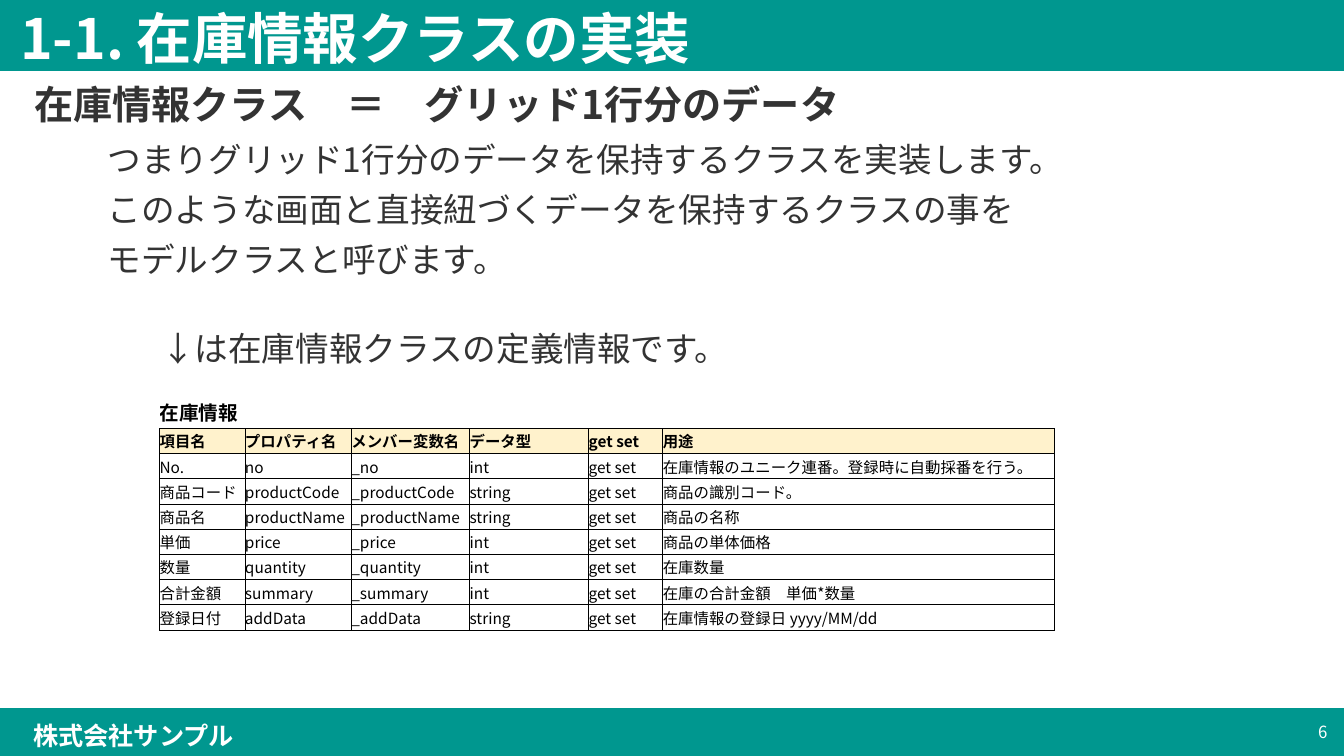
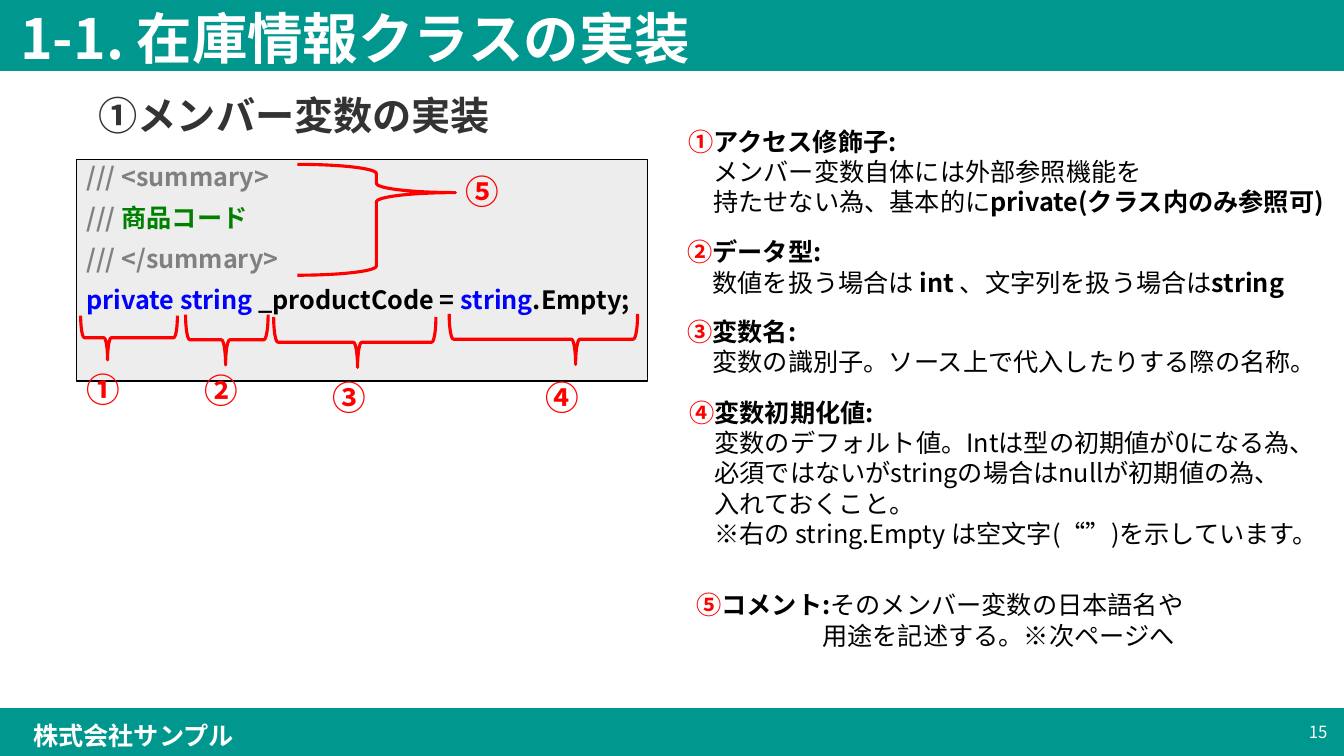
from copy import deepcopy

from lxml.etree import SubElement
from pptx import Presentation
from pptx.dml.color import RGBColor
from pptx.enum.shapes import MSO_SHAPE
from pptx.enum.text import MSO_ANCHOR, MSO_AUTO_SIZE, PP_ALIGN
from pptx.oxml.ns import qn
from pptx.util import Pt

FONT = "Noto Sans CJK JP"
WIDTH, HEIGHT = 960, 540
TEAL, WHITE, BLACK, INK = "00978F", "FFFFFF", "000000", "333333"
RED, BLUE, GREEN, GRAY = "FF0000", "0000FF", "008000", "808080"
PANEL, CREAM = "EDEDED", "FFF2CC"

TITLE = "1-1. 在庫情報クラスの実装"
COMPANY = "株式会社サンプル"

COLUMN_WIDTHS = [61, 76, 84.5, 85, 53, 280]
CAPTION_HEIGHT, ROW_HEIGHT = 23, 18
CAPTION = "在庫情報"
HEADERS = ["項目名", "プロパティ名", "メンバー変数名", "データ型", "get set", "用途"]
FIELDS = [
    ("No.", "no", "int", "在庫情報のユニーク連番。登録時に自動採番を行う。"),
    ("商品コード", "productCode", "string", "商品の識別コード。"),
    ("商品名", "productName", "string", "商品の名称"),
    ("単価", "price", "int", "商品の単体価格"),
    ("数量", "quantity", "int", "在庫数量"),
    ("合計金額", "summary", "int", "在庫の合計金額　単価*数量"),
    ("登録日付", "addData", "string", "在庫情報の登録日 yyyy/MM/dd"),
]

# A paragraph is a list of spans: (text, colour, bold), where None keeps the paragraph's font.
CODE_LINES = [
    [("/// <summary>", GRAY, None)],
    [("///", GRAY, None), (" 商品コード", GREEN, None)],
    [("/// </summary>", GRAY, None)],
    [("private string", BLUE, None), (" _productCode = ", None, None),
     ("string", BLUE, None), (".Empty;", None, None)],
]
# Braces: left, top, width, height, rotation, position of the point
BRACES = [
    (157.7, 3.6, 113, 79.2, 0, 0.255),
    (21.6, 92.9, 31.7, 69.1, 90, 0.722),
    (89.3, 99.4, 36, 59, 90, 0.515),
    (180.7, 72.7, 36, 115.9, 90, 0.483),
    (315.4, 61.2, 36, 134.6, 90, 0.329),
]
MARKS = [("①", -17.3, 148.3), ("②", 67, 149), ("③", 158.4, 154),
         ("④", 310.3, 154), ("⑤", 253.5, 6.5)]

# Notes: left, top, body indent, mark, heading, text beside the heading, body paragraphs
NOTES = [
    (0.6, 0, 18, "①", "アクセス修飾子:", "", [
        [("メンバー変数自体には外部参照機能を", None, None)],
        [("持たせない為、基本的に", None, None),
         ("private(クラス内のみ参照可)", None, True)]]),
    (0, 79.2, 18, "②", "データ型:", "", [
        [("数値を扱う場合は ", None, None), ("int ", None, True),
         ("、文字列を扱う場合は", None, None), ("string", None, True)]]),
    (0, 136.1, 18, "③", "変数名:", "", [
        [("変数の識別子。ソース上で代入したりする際の名称。", None, None)]]),
    (1.4, 193.7, 18, "④", "変数初期化値:", "", [
        [("変数のデフォルト値。Intは型の初期値が0になる為、", None, None)],
        [("必須ではないがstringの場合はnullが初期値の為、", None, None)],
        [("入れておくこと。", None, None)],
        [("※右の string.Empty は空文字(“”)を示しています。", None, None)]]),
    (6.5, 331.2, 90, "⑤", "コメント:", "そのメンバー変数の日本語名や", [
        [("用途を記述する。※次ページへ", None, None)]]),
]


def color(code):
    """Turn a hex string into a colour."""
    return RGBColor.from_string(code)


def place(box):
    """Turn a box in points into lengths."""
    return [Pt(length) for length in box]


def write(para, spans, size, ink=BLACK, bold=False, align=PP_ALIGN.LEFT, spacing=None,
          before=None, indent=0):
    """Format one paragraph and fill it with a string or a list of spans."""
    para.alignment = align
    para.line_spacing = spacing
    if before is not None:
        para.space_before = Pt(before)
    if indent:
        para._p.get_or_add_pPr().set("marL", str(Pt(indent)))
    font = para.font
    font.name, font.size, font.bold = FONT, Pt(size), bold
    font.color.rgb = color(ink)
    if isinstance(spans, str):
        spans = [(spans, None, None)]
    for text, span_ink, span_bold in spans:
        span = para.add_run()
        span.text = text
        if span_ink:
            span.font.color.rgb = color(span_ink)
        if span_bold is not None:
            span.font.bold = span_bold


def fill_frame(frame, paragraphs, size, anchor=MSO_ANCHOR.TOP, **style):
    """Write equally styled paragraphs into a text frame."""
    frame.word_wrap = True
    frame.auto_size = MSO_AUTO_SIZE.NONE
    frame.vertical_anchor = anchor
    for index, spans in enumerate(paragraphs):
        para = frame.add_paragraph() if index else frame.paragraphs[0]
        write(para, spans, size, **style)


def add_text(page, box, paragraphs, size, **style):
    """Add a text box."""
    label = page.shapes.add_textbox(*place(box))
    fill_frame(label.text_frame, paragraphs, size, **style)


def add_body(page, box, paragraphs, size=24, bold=False):
    """Add dark text with the deck's paragraph spacing."""
    add_text(page, box, paragraphs, size, ink=INK, bold=bold, spacing=0.9, before=10)


def add_shape(page, kind, box, fill, line, weight):
    """Add a shadowless preset shape; a fill of None leaves it hollow."""
    shape = page.shapes.add_shape(kind, *place(box))
    shape.shadow.inherit = False
    if fill:
        shape.fill.solid()
        shape.fill.fore_color.rgb = color(fill)
    else:
        shape.fill.background()
    shape.line.color.rgb = color(line)
    shape.line.width = Pt(weight)
    return shape


def add_page(deck, number):
    """Add a slide with bands, company name, title and page number."""
    page = deck.slides.add_slide(deck.slide_layouts[5])
    for top, height in ((0, 50), (506, 34)):
        add_shape(page, MSO_SHAPE.RECTANGLE, (0, top, WIDTH, height), TEAL, TEAL, 1)
    add_text(page, (-7.2, 511.2, 205.2, 28.8), [COMPANY], 18, anchor=MSO_ANCHOR.MIDDLE,
             ink=WHITE, bold=True, align=PP_ALIGN.CENTER)
    title = page.shapes.title
    title.element.getparent().append(title.element)
    title.left, title.top, title.width, title.height = place((7.2, 19.4, 828, 20.9))
    fill_frame(title.text_frame, [TITLE], 39.6, anchor=MSO_ANCHOR.MIDDLE,
               ink=WHITE, bold=True, spacing=0.9)
    add_text(page, (739.4, 508.3, 216, 28.8), [str(number)], 12,
             anchor=MSO_ANCHOR.MIDDLE, ink=WHITE, align=PP_ALIGN.RIGHT)
    return page


def add_borders(cell, sides):
    """Draw thin black borders on the given sides of a cell."""
    properties = cell._tc.get_or_add_tcPr()
    for side in sides:
        line = SubElement(properties, qn(f"a:ln{side}"), w=str(Pt(0.5)))
        SubElement(SubElement(line, qn("a:solidFill")), qn("a:srgbClr"), val=BLACK)


def add_field_table(page, left, top):
    """Add the definition table: a caption row, a header row and the fields."""
    rows = [[CAPTION] + [""] * 5, HEADERS]
    rows += [(name, prop, f"_{prop}", kind, "get set", use)
             for name, prop, kind, use in FIELDS]
    heights = [CAPTION_HEIGHT] + [ROW_HEIGHT] * (len(rows) - 1)
    box = (left, top, sum(COLUMN_WIDTHS), sum(heights))
    table = page.shapes.add_table(len(rows), len(HEADERS), *place(box)).table
    table.first_row = table.horz_banding = False
    for column, width in zip(table.columns, COLUMN_WIDTHS):
        column.width = Pt(width)
    for index, texts in enumerate(rows):
        table.rows[index].height = Pt(heights[index])
        for cell, text in zip(table.rows[index].cells, texts):
            cell.margin_left = cell.margin_right = cell.margin_top = cell.margin_bottom = 0
            cell.vertical_anchor = MSO_ANCHOR.MIDDLE
            add_borders(cell, "LRTB" if index else "B")
            if index == 1:
                cell.fill.solid()
                cell.fill.fore_color.rgb = color(CREAM)
            else:
                cell.fill.background()
            if text:
                write(cell.text_frame.paragraphs[0], text, 11 if index else 14,
                      bold=index < 2)


def add_code_panel(page, box):
    """Add the code panel with its braces and numbered marks."""
    left, top = box[:2]
    panel = add_shape(page, MSO_SHAPE.RECTANGLE, box, PANEL, BLACK, 0.75)
    fill_frame(panel.text_frame, CODE_LINES, 18, bold=True, spacing=0.9, before=10)
    for dx, dy, width, height, rotation, point in BRACES:
        brace = add_shape(page, MSO_SHAPE.RIGHT_BRACE, (left + dx, top + dy, width, height),
                          None, RED, 2.25)
        brace.adjustments[0], brace.adjustments[1] = 0.083, point
        brace.rotation = rotation
    for mark, dx, dy in MARKS:
        add_text(page, (left + dx, top + dy, 72.7, 31.7), [mark], 24, ink=RED, bold=True,
                 anchor=MSO_ANCHOR.MIDDLE, align=PP_ALIGN.CENTER)


def add_notes(page, box):
    """Add the numbered explanations beside the code."""
    left, top, width = box
    for dx, dy, indent, mark, heading, beside, body in NOTES:
        height = 7.2 + 21.8 * (1 + len(body))
        note = page.shapes.add_textbox(*place((left + dx, top + dy, width, height)))
        spans = [(mark, RED, True), (heading, None, True)]
        if beside:
            spans.append((beside, None, None))
        fill_frame(note.text_frame, [spans], 18)
        for line in body:
            write(note.text_frame.add_paragraph(), line, 18, indent=indent)


def add_definition_page(deck):
    """Build the slide that defines the stock class."""
    page = add_page(deck, 6)
    add_body(page, (17.3, 57.6, 926, 40.3), ["在庫情報クラス　＝　グリッド1行分のデータ"], 28, True)
    add_field_table(page, 114, 283)
    add_body(page, (69.8, 98.6, 777, 111.6), [
        "つまりグリッド1行分のデータを保持するクラスを実装します。",
        "このような画面と直接紐づくデータを保持するクラスの事を",
        "モデルクラスと呼びます。"])
    add_body(page, (108, 234, 777, 64.8), ["↓は在庫情報クラスの定義情報です。"])


def add_member_page(deck):
    """Build the slide that explains a member variable."""
    page = add_page(deck, 15)
    add_body(page, (63.4, 65.5, 896, 40.3), ["①メンバー変数の実装"], 28, True)
    add_code_panel(page, (54.7, 113.8, 408.2, 158.4))
    add_notes(page, (483.8, 86.4, 538))


def set_east_asian_fonts(page):
    """Repeat each Latin font as the East Asian font."""
    for latin in list(page.element.iter(qn("a:latin"))):
        east_asian = deepcopy(latin)
        east_asian.tag = qn("a:ea")
        latin.addnext(east_asian)


deck = Presentation()
deck.slide_width, deck.slide_height = Pt(WIDTH), Pt(HEIGHT)
add_definition_page(deck)
add_member_page(deck)
for page in deck.slides:
    set_east_asian_fonts(page)
deck.save("out.pptx")
